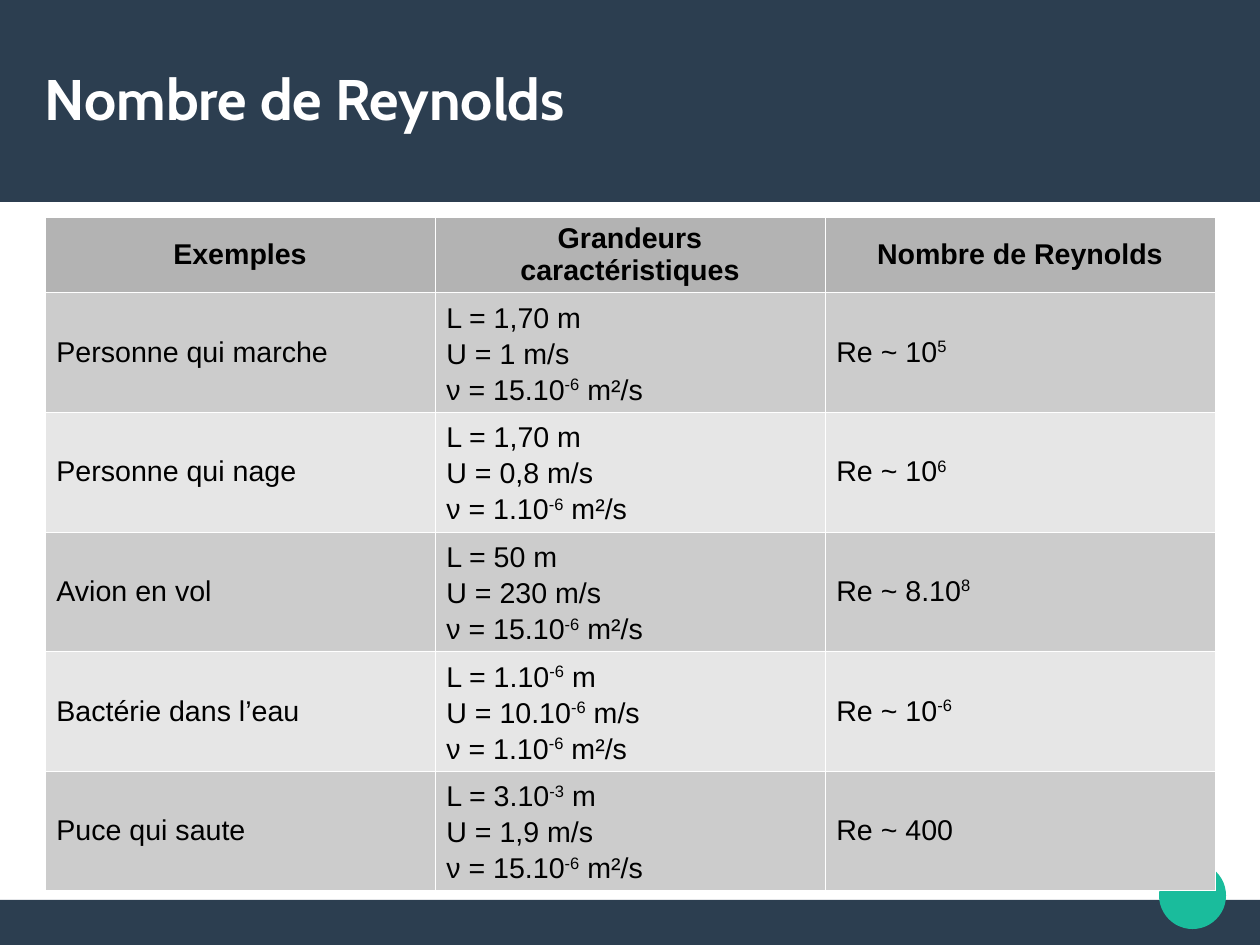
from dataclasses import dataclass

from lxml import etree
from pptx import Presentation
from pptx import util as u
from pptx.dml.color import RGBColor
from pptx.enum import shapes, text
from pptx.oxml import ns

PX = 8000  # EMU per px


@dataclass(frozen=True)
class Theme:
    navy: str = "2C3E50"
    teal: str = "1ABC9C"
    white: str = "FFFFFF"
    black: str = "000000"
    header: str = "B3B3B3"
    bands: tuple = ("CCCCCC", "E6E6E6")
    title_font: str = "Cabin"
    body_font: str = "Arial"
    title_size: int = 36
    body_size: int = 18
    line_spacing: float = 22.7
    border: float = 0.06


THEME = Theme()

HEADINGS = ("Exemples", "Grandeurs caractéristiques", "Nombre de Reynolds")
# Text between two ^ marks is superscript
AIR = "ν = 15.10^-6^ m²/s"
WATER = "ν = 1.10^-6^ m²/s"
EXAMPLES = (
    ("Personne qui marche", ("L = 1,70 m", "U = 1 m/s", AIR), "Re ~ 10^5^"),
    ("Personne qui nage", ("L = 1,70 m", "U = 0,8 m/s", WATER), "Re ~ 10^6^"),
    ("Avion en vol", ("L = 50 m", "U = 230 m/s", AIR), "Re ~ 8.10^8^"),
    ("Bactérie dans l’eau", ("L = 1.10^-6^ m", "U = 10.10^-6^ m/s", WATER), "Re ~ 10^-6^"),
    ("Puce qui saute", ("L = 3.10^-3^ m", "U = 1,9 m/s", AIR), "Re ~ 400"),
)


def px(*lengths):
    return [u.Emu(length * PX) for length in lengths]


def set_font(para, name, size, color, bold=False):
    para.font.name = name
    para.font.size = u.Pt(size)
    para.font.bold = bold
    para.font.color.rgb = RGBColor.from_string(color)


def add_block(page, kind, color, *place):
    block = page.shapes.add_shape(kind, *px(*place))
    block.shadow.inherit = False
    block.fill.solid()
    block.fill.fore_color.rgb = RGBColor.from_string(color)
    block.line.fill.background()


def place_title(page, words, *place):
    title = page.shapes.title
    page.shapes._spTree.append(title._element)  # in front of the band
    title.left, title.top, title.width, title.height = px(*place)
    frame = title.text_frame
    frame.text = words
    frame.word_wrap = True
    frame.auto_size = text.MSO_AUTO_SIZE.NONE
    frame.vertical_anchor = text.MSO_ANCHOR.MIDDLE
    frame.margin_left = frame.margin_right = frame.margin_top = frame.margin_bottom = 0
    para = frame.paragraphs[0]
    para.alignment = text.PP_ALIGN.LEFT
    set_font(para, THEME.title_font, THEME.title_size, THEME.white, bold=True)


def add_marked_text(para, words):
    for index, part in enumerate(words.split("^")):
        if part:
            span = para.add_run()
            span.text = part
            if index % 2:
                span._r.get_or_add_rPr().set("baseline", "33000")


def set_borders(cell):
    props = cell._tc.get_or_add_tcPr()
    for index, side in enumerate(("lnL", "lnR", "lnT", "lnB")):
        line = etree.Element(ns.qn(f"a:{side}"), w=str(u.Pt(THEME.border)))
        fill = etree.SubElement(line, ns.qn("a:solidFill"))
        etree.SubElement(fill, ns.qn("a:srgbClr"), val=THEME.white)
        props.insert(index, line)


def fill_cell(cell, lines, color, heading=False):
    cell.fill.solid()
    cell.fill.fore_color.rgb = RGBColor.from_string(color)
    set_borders(cell)
    cell.vertical_anchor = text.MSO_ANCHOR.MIDDLE
    frame = cell.text_frame
    for index, words in enumerate(lines):
        para = frame.add_paragraph() if index else frame.paragraphs[0]
        para.alignment = text.PP_ALIGN.CENTER if heading else text.PP_ALIGN.LEFT
        if len(lines) > 1:
            para.line_spacing = u.Pt(THEME.line_spacing)
        set_font(para, THEME.body_font, THEME.body_size, THEME.black, heading)
        add_marked_text(para, words)


def add_examples_table(page, left, top, column_width, header_height, row_height):
    rows, columns = len(EXAMPLES) + 1, len(HEADINGS)
    height = header_height + row_height * len(EXAMPLES)
    frame = page.shapes.add_table(
        rows, columns, *px(left, top, column_width * columns, height))
    table = frame.table
    table.horz_banding = False
    for index, row in enumerate(table.rows):
        row.height = u.Emu((row_height if index else header_height) * PX)
    for column, heading in enumerate(HEADINGS):
        fill_cell(table.cell(0, column), (heading,), THEME.header, heading=True)
    for index, (example, sizes, reynolds) in enumerate(EXAMPLES):
        for column, lines in enumerate(((example,), sizes, (reynolds,))):
            fill_cell(table.cell(index + 1, column), lines, THEME.bands[index % 2])


def main():
    deck = Presentation()
    deck.slide_width, deck.slide_height = px(1260, 945)
    page = deck.slides.add_slide(deck.slide_layouts[5])

    # Bands and page-number disc
    shape = shapes.MSO_SHAPE
    add_block(page, shape.RECTANGLE, THEME.navy, 0, 900, 1260, 45)
    add_block(page, shape.RECTANGLE, THEME.navy, 0, 0, 1260, 202)
    add_block(page, shape.OVAL, THEME.teal, 1159, 862, 67, 67)

    # Title and table
    place_title(page, "Nombre de Reynolds", 45, 38, 1170, 120)
    add_examples_table(page, 45, 217, 390, 75, 119)

    deck.save("out.pptx")


if __name__ == "__main__":
    main()
